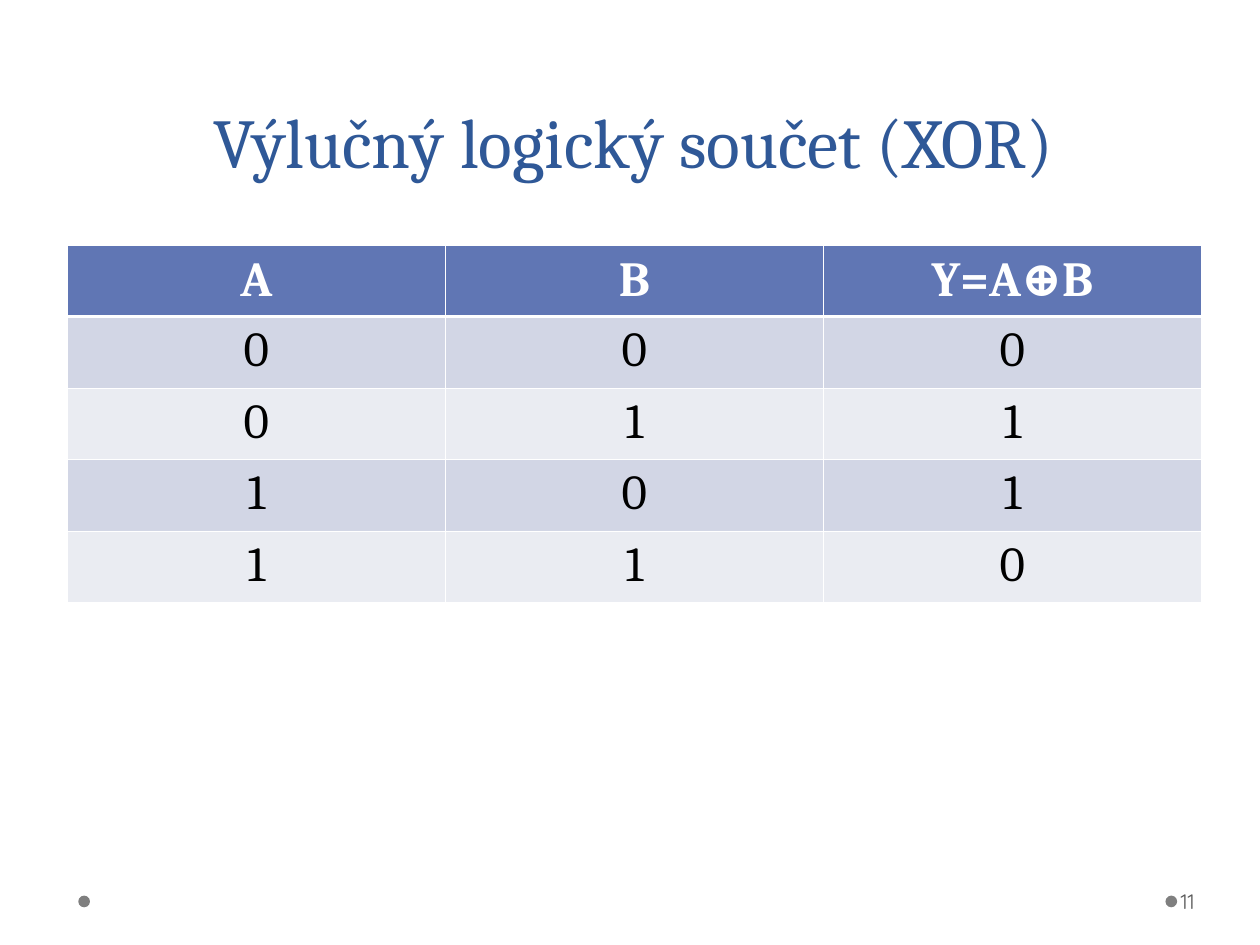
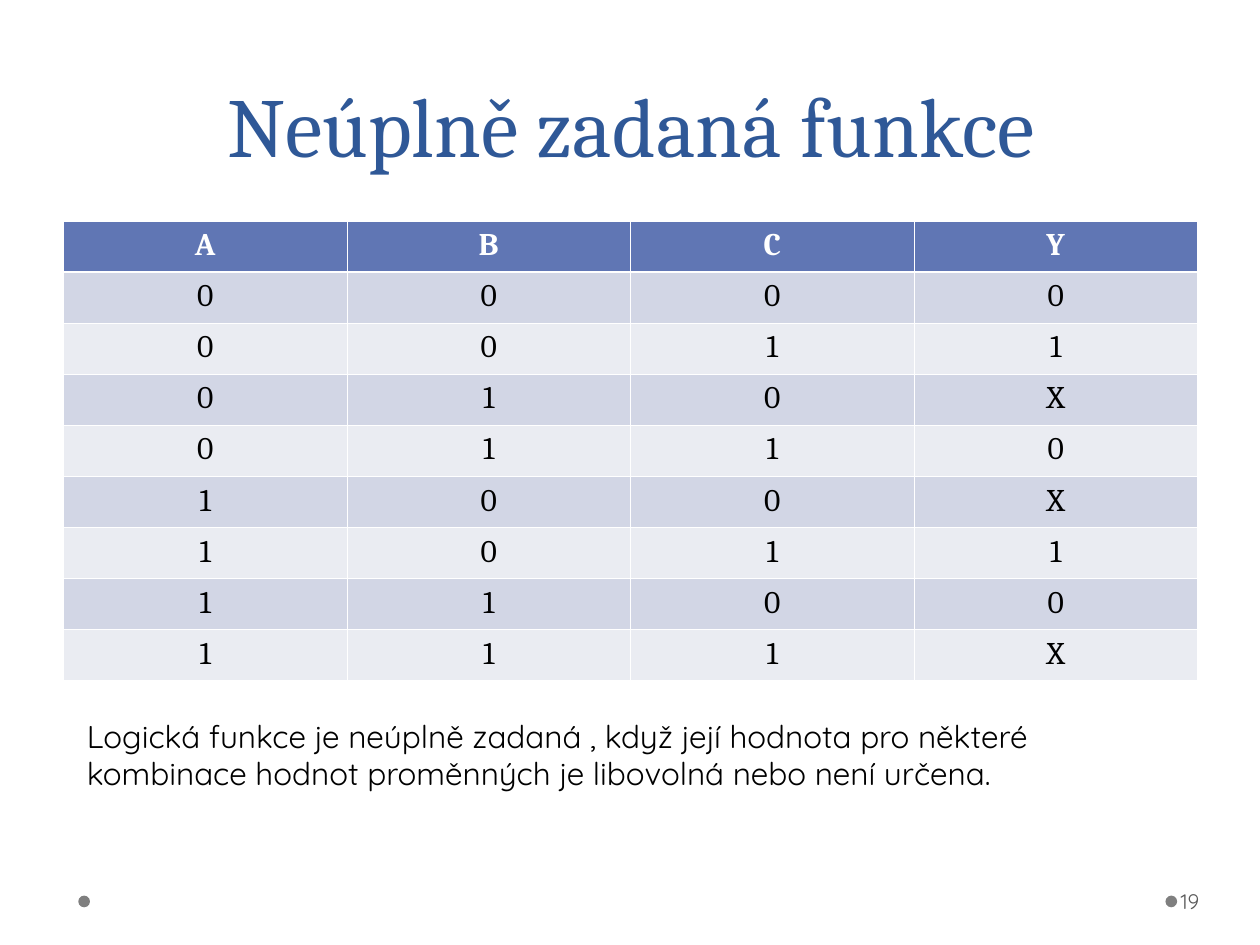
from dataclasses import dataclass
from itertools import product

from lxml import etree
from pptx import Presentation
from pptx.dml.color import RGBColor
from pptx.enum import shapes, text
from pptx.oxml import ns
from pptx.util import Pt

TITLE = RGBColor(0x2F, 0x58, 0x97)
HEAD = RGBColor(0x60, 0x76, 0xB4)
BANDS = (RGBColor(0xD2, 0xD6, 0xE5), RGBColor(0xEA, 0xEC, 0xF2))
WHITE = RGBColor(0xFF, 0xFF, 0xFF)
BLACK = RGBColor(0, 0, 0)
DOT = RGBColor(0x7F, 0x7F, 0x7F)
GREY = RGBColor(0x59, 0x59, 0x59)
SERIF = "Cambria"
SANS = "Quicksand"
THIN, THICK = 0.45, 1.47
LEFT, MID = text.PP_ALIGN.LEFT, text.PP_ALIGN.CENTER
TOP, MIDDLE, BOTTOM = (text.MSO_ANCHOR.TOP, text.MSO_ANCHOR.MIDDLE,
                       text.MSO_ANCHOR.BOTTOM)


@dataclass(frozen=True)
class Box:
    left: float
    top: float
    width: float
    height: float

    def pts(self) -> tuple:
        return Pt(self.left), Pt(self.top), Pt(self.width), Pt(self.height)


@dataclass(frozen=True)
class Font:
    name: str
    size: float
    color: RGBColor
    bold: bool = False


@dataclass(frozen=True)
class Label:
    words: str
    box: Box
    font: Font
    align: int = LEFT
    anchor: int = TOP
    inset: float = 7.2
    lead: float | None = None


@dataclass(frozen=True)
class Truth:
    heads: tuple[str, ...]
    outs: str
    box: Box
    size: float
    inset: float
    anchor: int

    def rows(self) -> list[tuple[str, ...]]:
        ins = product("01", repeat=len(self.heads) - 1)
        return [self.heads] + [(*bits, out) for bits, out in zip(ins, self.outs)]


@dataclass(frozen=True)
class Page:
    title: str
    size: float
    head: Box
    truth: Truth
    number: str
    note: str = ""


PAGES = (
    Page("Výlučný logický součet (XOR)", 40, Box(38, 25.2, 648, 82.8),
         Truth(("A", "B", "Y=A⊕B"), "0110", Box(38.5, 140, 648, 183),
               28, 1.44, MIDDLE), "11"),
    Page("Neúplně zadaná funkce", 48, Box(36.5, 31.7, 648, 71.3),
         Truth(("A", "B", "C", "Y"), "01X0X10X", Box(36.25, 126.25, 648, 262.8),
               18, 7.2, TOP), "19",
         "Logická funkce je neúplně zadaná , když její hodnota pro některé "
         "kombinace hodnot proměnných je libovolná nebo není určena."),
)


def style(para, font: Font, align: int) -> None:
    para.alignment = align
    for run in para.runs:
        run.font.name = font.name
        run.font.size = Pt(font.size)
        run.font.bold = font.bold
        run.font.color.rgb = font.color


def write(slide, label: Label) -> None:
    frame = slide.shapes.add_textbox(*label.box.pts()).text_frame
    frame.word_wrap = True
    frame.vertical_anchor = label.anchor
    frame.margin_left = Pt(label.inset)
    frame.text = label.words
    para = frame.paragraphs[0]
    if label.lead:
        para.line_spacing = Pt(label.lead)
    style(para, label.font, label.align)


def edge(cell, side: str, width: float) -> None:
    props = cell._tc.get_or_add_tcPr()
    line = etree.SubElement(props, ns.qn(f"a:ln{side}"), w=str(Pt(width)))
    fill = etree.SubElement(line, ns.qn("a:solidFill"))
    etree.SubElement(fill, ns.qn("a:srgbClr"), val=str(WHITE))


def paint(cell, word: str, row: int, truth: Truth) -> None:
    first = row == 0
    cell.margin_left = cell.margin_right = Pt(
        3.6 if first and truth.anchor == MIDDLE else truth.inset)
    cell.margin_top = cell.margin_bottom = Pt(3.6)
    cell.vertical_anchor = truth.anchor if first else TOP
    widths = {"L": THIN, "R": THIN, "T": THICK if row == 1 else THIN,
              "B": THICK if first else THIN}
    for side, width in widths.items():
        edge(cell, side, width)
    cell.fill.solid()
    cell.fill.fore_color.rgb = HEAD if first else BANDS[(row - 1) % 2]
    cell.text_frame.text = word
    font = Font(SERIF, truth.size, WHITE if first else BLACK, first)
    style(cell.text_frame.paragraphs[0], font, MID)


def grid(slide, truth: Truth) -> None:
    rows = truth.rows()
    box = truth.box
    table = slide.shapes.add_table(len(rows), len(truth.heads), *box.pts()).table
    for col in table.columns:
        col.width = Pt(box.width / len(truth.heads))
    for i, words in enumerate(rows):
        table.rows[i].height = Pt(box.height / len(rows))
        for j, word in enumerate(words):
            paint(table.cell(i, j), word, i, truth)


def dots(slide) -> None:
    for left in (666, 44.75):
        dot = slide.shapes.add_shape(shapes.MSO_SHAPE.OVAL,
                                     *Box(left, 511.8, 6.7, 6.7).pts())
        dot.shadow.inherit = False
        dot.fill.solid()
        dot.fill.fore_color.rgb = DOT
        dot.line.fill.background()


def draw(deck, page: Page) -> None:
    slide = deck.slides.add_slide(deck.slide_layouts[6])
    dots(slide)
    write(slide, Label(page.title, page.head, Font(SERIF, page.size, TITLE),
                       MID, BOTTOM, lead=58))
    grid(slide, page.truth)
    if page.note:
        write(slide, Label(page.note, Box(42.5, 406, 635, 50.4),
                           Font(SANS, 18, BLACK)))
    write(slide, Label(page.number, Box(672.5, 500.4, 44, 28.8),
                       Font(SANS, 12, GREY), LEFT, MIDDLE, 2.2))


def main() -> None:
    deck = Presentation()
    deck.slide_width, deck.slide_height = Pt(720), Pt(540)
    for page in PAGES:
        draw(deck, page)
    deck.save("out.pptx")


if __name__ == "__main__":
    main()
